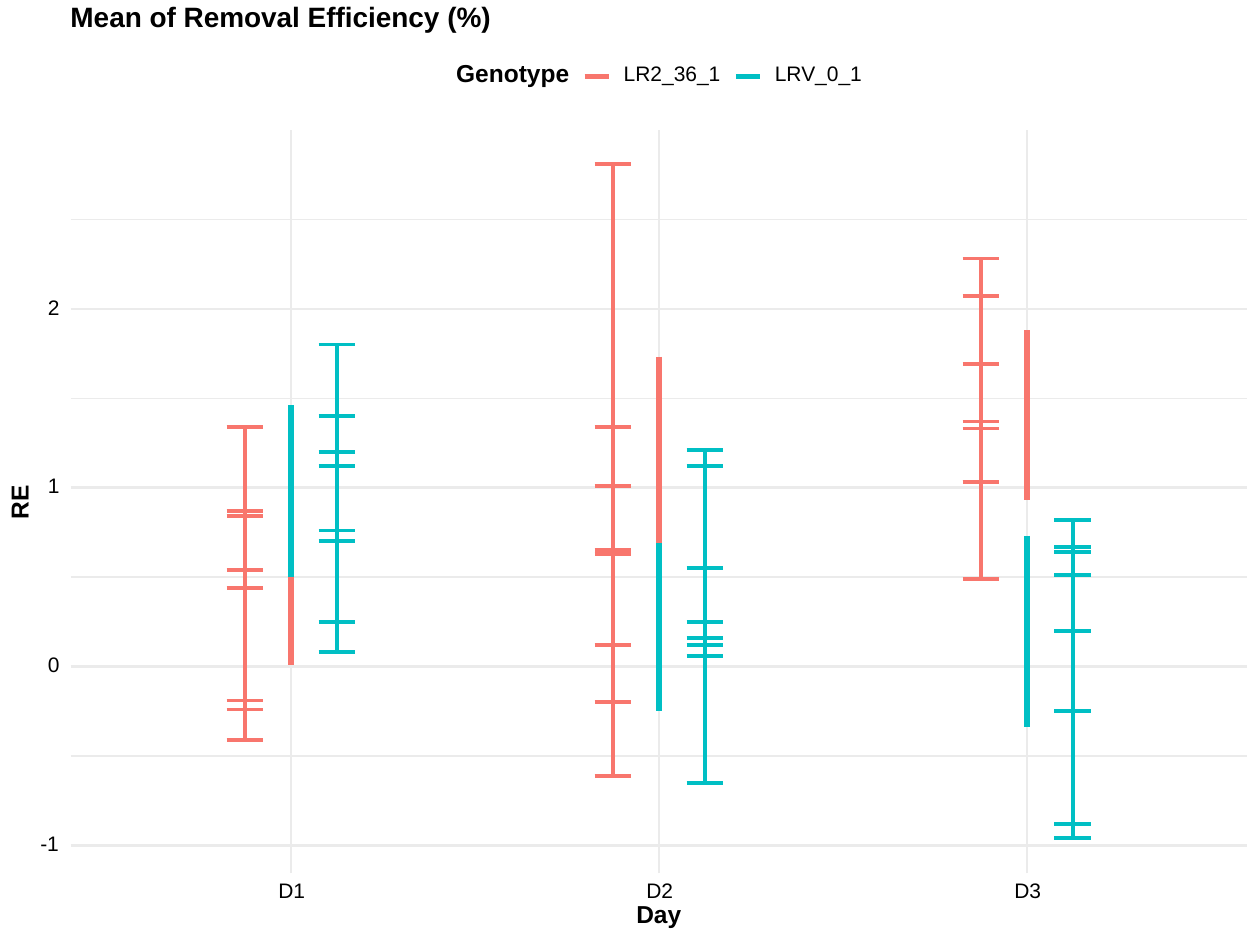
from lxml import etree
from pptx import Presentation
from pptx.dml.color import RGBColor
from pptx.enum import shapes, text
from pptx.oxml import ns
from pptx.util import Inches, Pt

COLORS = {"grid": "EBEBEB", "LR2_36_1": "F8766D", "LRV_0_1": "00BFC4",
          "text": "000000", "back": "FFFFFF"}

# Plot area in inches; RE is measured upwards from the zero row
LEFT, RIGHT, TOP, BOTTOM = 0.56, 9.9, 1.03, 6.93
ZERO_Y, UNIT = 5.29, 1.42
FIRST_DAY, DAY_STEP = 2.31, 2.92
DODGE, HALF_CAP = DAY_STEP / 8, DAY_STEP / 20

days = ["D1", "D2", "D3"]

# (upper, lower) reach of the thick line, one per day
mean_lines = {
    "LR2_36_1": [(1.09, 0.01), (1.73, 0.2), (1.88, 0.93)],
    "LRV_0_1": [(1.46, 0.5), (0.69, -0.25), (0.73, -0.34)],
}
# (upper, lower) ends of the four error bars of each day
error_bars = {
    "LR2_36_1": [
        [(0.87, -0.24), (0.44, -0.41), (0.54, -0.19), (1.34, 0.84)],
        [(1.01, -0.61), (1.34, 0.12), (0.63, -0.2), (2.81, 0.65)],
        [(2.28, 1.03), (1.37, 0.49), (1.33, 1.03), (2.07, 1.69)],
    ],
    "LRV_0_1": [
        [(1.2, 0.08), (0.76, 0.25), (1.4, 0.7), (1.8, 1.12)],
        [(0.16, -0.65), (1.12, 0.25), (0.55, 0.06), (1.21, 0.12)],
        [(0.67, -0.96), (0.82, 0.64), (0.51, -0.25), (0.2, -0.88)],
    ],
}

prs = Presentation()
prs.slide_width, prs.slide_height = Inches(10), Inches(7.5)
slide = prs.slides.add_slide(prs.slide_layouts[6])


def add_line(x1, y1, x2, y2, color, width):
    line = slide.shapes.add_connector(
        shapes.MSO_CONNECTOR.STRAIGHT, *map(Inches, (x1, y1, x2, y2)))
    line.line.color.rgb = RGBColor.from_string(COLORS[color])
    line.line.width = Pt(width)
    etree.SubElement(line._element.spPr, ns.qn("a:effectLst"))


def add_label(words, x, y, w, h, size=12, bold=False, rotation=0):
    sp = slide.shapes.add_textbox(*map(Inches, (x, y, w, h)))
    sp.rotation = rotation
    tf = sp.text_frame
    tf.margin_left = tf.margin_right = tf.margin_top = tf.margin_bottom = 0
    tf.word_wrap = False
    tf.vertical_anchor = text.MSO_ANCHOR.MIDDLE
    tf.text = words
    p = tf.paragraphs[0]
    p.line_spacing = Pt(size)
    font = p.runs[0].font
    font.name, font.size, font.bold = "Arial", Pt(size), bold
    font.color.rgb = RGBColor.from_string(COLORS["text"])


# Background
sp = slide.shapes.add_shape(shapes.MSO_SHAPE.RECTANGLE, 0, 0,
                            prs.slide_width, prs.slide_height)
sp.shadow.inherit = False
sp.fill.solid()
sp.fill.fore_color.rgb = RGBColor.from_string(COLORS["back"])
sp.line.color.rgb = RGBColor.from_string(COLORS["back"])
sp.line.width = Pt(0.75)

# Grid: minor rows, major rows, day columns
for values, width in [((-0.5, 0.5, 1.5, 2.5), 0.68), ((-1, 0, 1, 2), 1.36)]:
    for value in values:
        y = ZERO_Y - value * UNIT
        add_line(LEFT, y, RIGHT, y, "grid", width)
day_x = [FIRST_DAY + i * DAY_STEP for i in range(len(days))]
for x in day_x:
    add_line(x, BOTTOM, x, TOP, "grid", 1.36)

# Thick lines on the day columns
for i, x in enumerate(day_x):
    for genotype, spans in mean_lines.items():
        upper, lower = (ZERO_Y - v * UNIT for v in spans[i])
        add_line(x, upper, x, lower, genotype, 3.2)

# Error bars with caps, one genotype on each side of the column
for (genotype, by_day), side in zip(error_bars.items(), (-1, 1)):
    for column, bars in zip(day_x, by_day):
        x = column + side * DODGE
        for bar in bars:
            upper, lower = (ZERO_Y - v * UNIT for v in bar)
            add_line(x - HALF_CAP, upper, x + HALF_CAP, upper, genotype, 2.13)
            add_line(x, upper, x, lower, genotype, 2.13)
            add_line(x - HALF_CAP, lower, x + HALF_CAP, lower, genotype, 2.13)

# Axis labels
for value in (-1, 0, 1, 2):
    w = 0.16 if value < 0 else 0.1
    add_label(str(value), 0.48 - w, ZERO_Y - value * UNIT - 0.06, w, 0.12)
for day, x in zip(days, day_x):
    add_label(day, x - 0.1, 7.02, 0.24, 0.12)
add_label("Day", 5.05, 7.18, 0.38, 0.18, 14, True)
add_label("RE", 0.02, 3.9, 0.3, 0.14, 14, True, 270)

# Legend
add_label("Genotype", 3.62, 0.51, 0.92, 0.18, 14, True)
for genotype, x, w in [("LR2_36_1", 4.64, 0.8), ("LRV_0_1", 5.84, 0.74)]:
    add_line(x, 0.61, x + 0.19, 0.61, genotype, 2.7)
    add_label(genotype, x + 0.31, 0.52, w, 0.15)

# Title
add_label("Mean of Removal Efficiency (%)", LEFT, 0.05, 3.4, 0.21, 16, True)

prs.save("out.pptx")
